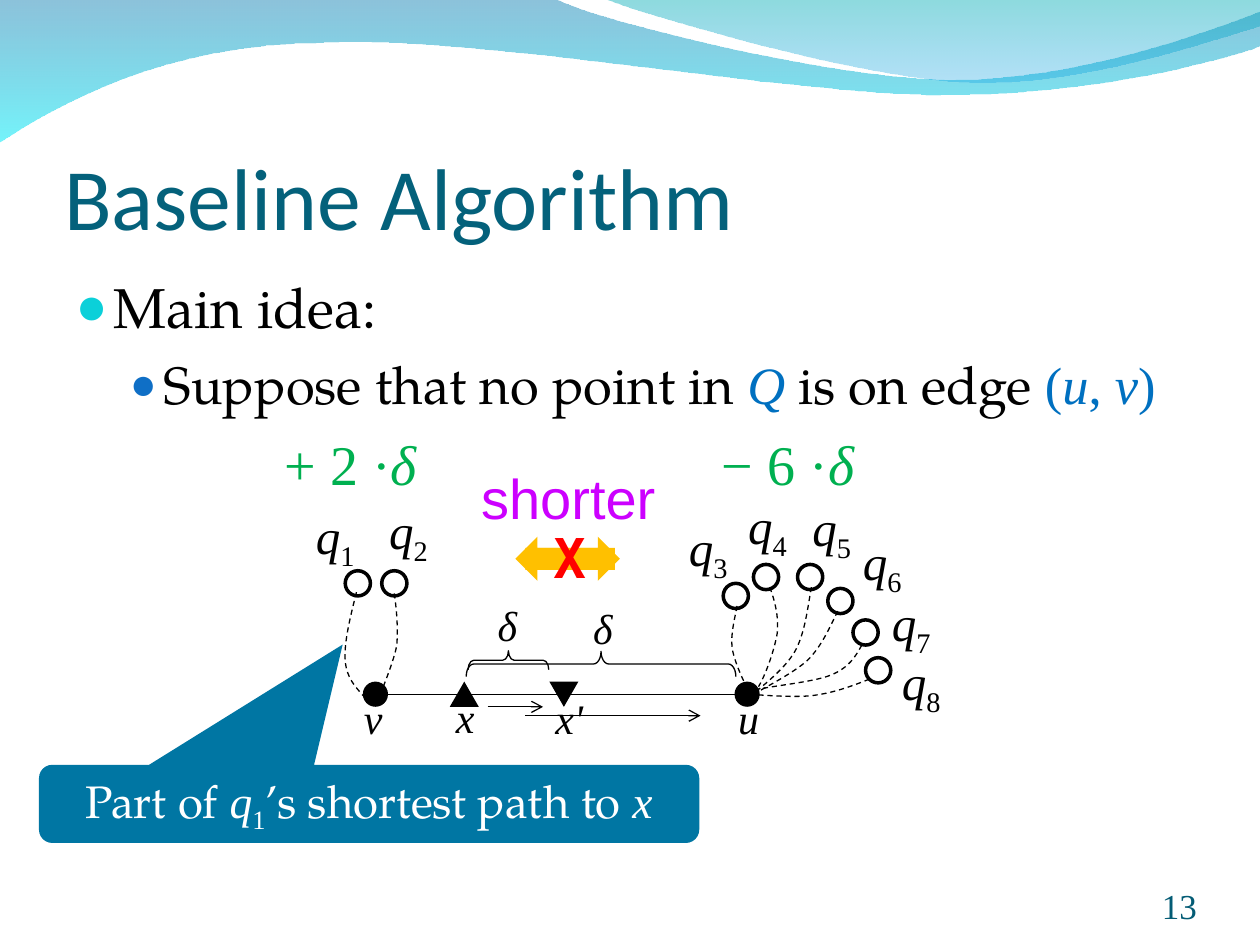
from dataclasses import dataclass

from lxml.etree import SubElement
from pptx import Presentation
from pptx.dml.color import RGBColor
from pptx.enum.dml import MSO_LINE
from pptx.enum.shapes import MSO_CONNECTOR, MSO_SHAPE
from pptx.enum.text import MSO_ANCHOR, MSO_AUTO_SIZE, PP_ALIGN
from pptx.oxml.ns import qn
from pptx.util import Pt

PX = 9144
INSETS = (10, 5, 10, 5)


@dataclass(frozen=True)
class Theme:
    """Colours, fonts and type sizes of the deck."""
    heading: str = "Calibri"
    body: str = "TeX Gyre Pagella"
    math: str = "Times New Roman"
    plain: str = "Arial"
    mono: str = "Noto Sans Mono"
    title: str = "04617B"
    number: str = "045C75"
    black: str = "000000"
    white: str = "FFFFFF"
    blue: str = "0070C0"
    green: str = "00B050"
    violet: str = "CC00FF"
    red: str = "FF0000"
    amber: str = "FFC000"
    callout: str = "0076A3"
    bullets: tuple = ("0BD0D9", "0F6FC6")
    title_pt: int = 50
    large_pt: int = 32
    sub_pt: int = 30
    point_pt: int = 28
    callout_pt: int = 26
    label_pt: int = 24
    number_pt: int = 20


T = Theme()


def px(*lengths):
    """Turn px lengths into EMU."""
    return [round(length * PX) for length in lengths]


def rgb(code):
    """Return the colour for a hex code."""
    return RGBColor.from_string(code)


def write(paragraph, runs, size, color=T.black):
    """Add (text, font, italic[, color[, subscript]]) runs to a paragraph."""
    for text, face, italic, *rest in runs:
        run = paragraph.add_run()
        run.text = text
        run.font.name, run.font.size, run.font.italic = face, Pt(size), italic
        run.font.color.rgb = rgb(rest[0] if rest and rest[0] else color)
        if len(rest) > 1:
            run.font._element.set("baseline", "-25000")


def set_frame(frame, insets=INSETS, wrap=True, anchor=MSO_ANCHOR.TOP):
    """Fix the insets, wrapping and anchor of a text frame."""
    frame.auto_size, frame.word_wrap, frame.vertical_anchor = MSO_AUTO_SIZE.NONE, wrap, anchor
    (frame.margin_left, frame.margin_top, frame.margin_right,
     frame.margin_bottom) = px(*insets)


def label(slide, box, runs, size, color=T.black, wrap=False):
    """Place a text box and return its paragraph."""
    frame = slide.shapes.add_textbox(*px(*box)).text_frame
    set_frame(frame, wrap=wrap)
    write(frame.paragraphs[0], runs, size, color)
    return frame.paragraphs[0]


def preset(slide, kind, box, fill=None, line=None, width=0.75, rotation=0):
    """Place a preset shape with plain fill and outline."""
    shape = slide.shapes.add_shape(kind, *px(*box))
    shape.shadow.inherit = False
    shape.rotation = rotation
    paint(shape, fill, line, width)
    return shape


def paint(shape, fill=None, line=None, width=0.75):
    """Set or clear the fill and outline."""
    if fill:
        shape.fill.solid()
        shape.fill.fore_color.rgb = rgb(fill)
    else:
        shape.fill.background()
    if line:
        shape.line.color.rgb, shape.line.width = rgb(line), Pt(width)
    else:
        shape.line.fill.background()


def curve(slide, x, y, start, pieces, close=False):
    """Trace straight (one point) and cubic (three point) pieces."""
    points = [start] + [point for piece in pieces for point in piece]
    traced = [px(x + a, y + b) for a, b in points]
    builder = slide.shapes.build_freeform(*traced[0], scale=1.0)
    builder.add_line_segments(traced[1:], close=close)
    shape = builder.convert_to_shape()
    shape.shadow.inherit = False
    segments = iter(list(shape._element.iter(qn("a:lnTo"))))
    for piece in pieces:
        first, *others = [next(segments) for _ in piece]
        if others:
            bezier = first.makeelement(qn("a:cubicBezTo"))
            first.addprevious(bezier)
            for segment in (first, *others):
                bezier.append(segment[0])
                segment.getparent().remove(segment)
    return shape


def rule(slide, x1, x2, y, arrow=False):
    """Draw a horizontal line, with an arrowhead if wanted."""
    line = slide.shapes.add_connector(MSO_CONNECTOR.STRAIGHT, *px(x1, y, x2, y))
    line.line.color.rgb, line.line.width = rgb(T.black), Pt(0.75)
    if arrow:
        SubElement(line.line._get_or_add_ln(), qn("a:tailEnd"), type="arrow")
    SubElement(line._element.spPr, qn("a:effectLst"))


def add_waves(slide, x, y):
    """Draw the two translucent waves along the top."""
    waves = (
        ((0, -1), [[(440, -1)], [(476, 17), (664, 63), (758, 63)],
                   [(853, 63), (958, 26), (1000, 9)], [(1001, 36)],
                   [(983, 44), (870, 76), (746, 75)], [(622, 75), (382, 28), (257, 34)],
                   [(129, 35), (46, 83), (-1, 113)]], (("0079AF", 45), ("00EBF8", 55))),
        ((479, -1), [[(509, 11), (682, 62), (769, 65)], [(856, 69), (961, 32), (1000, 21)],
                     [(1000, 0)]], (("00ADB6", 45), ("009BE5", 30))),
    )
    for start, pieces, stops in waves:
        wave = curve(slide, x, y, start, pieces, close=True)
        wave.line.fill.background()
        wave.fill.gradient()
        wave.fill.gradient_angle = 270
        for position, (stop, (color, _)) in enumerate(zip(wave.fill.gradient_stops, stops)):
            stop.position, stop.color.rgb = position, rgb(color)
        for tint, (_, opacity) in zip(wave._element.spPr.iter(qn("a:srgbClr")), stops):
            SubElement(tint, qn("a:alpha"), val=str(opacity * 1000))


def place(holder, box):
    """Move a placeholder to its box."""
    holder.left, holder.top, holder.width, holder.height = px(*box)


def add_title(slide, box):
    """Fill the title placeholder."""
    title = slide.shapes.title
    place(title, box)
    set_frame(title.text_frame, (0, 5, 0, 0), anchor=MSO_ANCHOR.BOTTOM)
    heading = title.text_frame.paragraphs[0]
    heading.alignment = PP_ALIGN.LEFT
    write(heading, [("Baseline Algorithm", T.heading, False)], T.title_pt, T.title)


def add_ideas(slide, box):
    """Fill the body placeholder with the two bullet levels."""
    body = slide.placeholders[1]
    place(body, box)
    frame = body.text_frame
    set_frame(frame)
    ideas = (
        (30, -30, 95, 0, T.large_pt, [("Main idea:", T.body, False)]),
        (70, -27, 85, 7.5, T.sub_pt, [
            ("Suppose that no point in ", T.body, False), ("Q", T.math, True, T.blue),
            (" is on edge ", T.body, False), ("(", T.math, False, T.blue),
            ("u", T.math, True, T.blue), (", ", T.math, False, T.blue),
            ("v", T.math, True, T.blue), (")", T.math, False, T.blue)]),
    )
    for level, (margin, indent, percent, before, size, runs) in enumerate(ideas):
        idea = frame.add_paragraph() if level else frame.paragraphs[0]
        idea.level, idea.space_before = level, Pt(before)
        props = idea._p.get_or_add_pPr()
        props.set("marL", str(margin * PX))
        props.set("indent", str(indent * PX))
        SubElement(SubElement(props, qn("a:buClr")), qn("a:srgbClr"), val=T.bullets[level])
        SubElement(props, qn("a:buSzPct"), val=str(percent * 1000))
        SubElement(props, qn("a:buChar"), char="●")
        write(idea, runs, size)


def add_network(slide, x, y):
    """Draw the edge from v to u, the query points and their paths."""
    for left in (48, 343):
        preset(slide, MSO_SHAPE.OVAL, (x + left, y + 161, 20, 20), T.black)
    rule(slide, x + 63, x + 348, y + 171)
    queries = (
        ((34, 73), (1, 16), [(43, 90), (38, 110), (33, 130), (34, 144), (35, 158), (42, 165), (49, 173)]),
        ((63, 73), (59, 12), [(73, 91), (75, 105), (76, 119), (75, 132), (73, 144), (63, 168), (63, 168)]),
        ((334, 83), (297, 26), [(345, 101), (343, 112), (340, 123), (341, 133), (342, 144), (352, 165), (353, 165)]),
        ((358, 68), (344, 8), [(371, 86), (375, 97), (378, 108), (377, 122), (375, 135), (368, 155), (362, 165)]),
        ((393, 68), (395, 10), [(404, 86), (401, 103), (399, 121), (392, 135), (385, 149), (367, 163), (360, 169)]),
        ((417, 87), (435, 37), [(425, 105), (418, 119), (412, 133), (401, 144), (389, 155), (364, 167), (357, 172)]),
        ((437, 112), (458, 85), [(444, 132), (439, 141), (434, 150), (419, 156), (404, 162), (365, 165), (354, 169)]),
        ((447, 142), (466, 132), [(450, 159), (435, 165), (421, 170), (405, 172), (389, 174), (356, 171), (356, 171)]),
    )
    for index, (ring, name, route) in enumerate(queries, 1):
        preset(slide, MSO_SHAPE.OVAL, (x + ring[0], y + ring[1], 20, 20), line=T.black, width=2)
        way = curve(slide, x, y, route[0], [route[1:4], route[4:]])
        paint(way, line=T.black)
        way.line.dash_style = MSO_LINE.DASH
        label(slide, (x + name[0], y + name[1], 50, 63),
              [("q", T.math, True), (str(index), T.math, False, None, True)], T.point_pt)
    for left, turn in ((117, 0), (196, 180)):
        preset(slide, MSO_SHAPE.ISOSCELES_TRIANGLE, (x + left, y + 161, 23, 20), T.black, rotation=turn)
    for left, top, depth, span in ((156, 112, 15, 64), (227, 40, 20, 214)):
        brace = preset(slide, MSO_SHAPE.LEFT_BRACE, (x + left, y + top, depth, span),
                       line=T.black, rotation=90)
        brace.adjustments[0] = 0.3
    for start, end, top in ((147, 191, 181), (177, 316, 188)):
        rule(slide, x + start, x + end, y + top, arrow=True)
    for text, left, top, width in (("v", 39, 165, 35), ("x", 112, 164, 35), ("x'", 191, 165, 42),
                                   ("u", 336, 165, 36), ("δ", 145, 91, 35), ("δ", 221, 93, 35)):
        label(slide, (x + left, y + top, width, 50), [(text, T.math, True)], T.label_pt)


def add_comparison(slide, x, y):
    """Show the change on either side and the crossed-out arrows."""
    for text, left in (("+ 2 ·", 0), ("− 6 ·", 347)):
        label(slide, (x + left, y, 169, 64), [(text, T.math, False), ("δ", T.math, True)],
              T.large_pt, T.green, True)
    preset(slide, MSO_SHAPE.RIGHT_ARROW, (x + 201, y + 90, 75, 35), T.amber)
    preset(slide, MSO_SHAPE.LEFT_ARROW, (x + 193, y + 90, 79, 35), T.amber)
    label(slide, (x + 156, y + 27, 164, 64), [("shorter", T.plain, False)], T.large_pt, T.violet, True)
    cross = label(slide, (x + 213, y + 74, 51, 64), [("X", T.mono, False)], T.large_pt, T.red, True)
    cross.runs[0].font.bold = True


def add_callout(slide, box):
    """Place the callout that explains the path of the first point."""
    callout = preset(slide, MSO_SHAPE.ROUNDED_RECTANGULAR_CALLOUT, box, T.callout)
    for index, value in enumerate((-0.04, -2.04, 0.17)):
        callout.adjustments[index] = value
    set_frame(callout.text_frame, anchor=MSO_ANCHOR.MIDDLE)
    remark = callout.text_frame.paragraphs[0]
    remark.alignment = PP_ALIGN.CENTER
    write(remark, [("Part of ", T.body, False), ("q", T.math, True),
                   ("1", T.math, False, None, True), ("’s shortest path to ", T.body, False),
                   ("x", T.math, True)], T.callout_pt, T.white)


def add_page_number(slide, box):
    """Place the page number at the lower right."""
    number = slide.shapes.add_textbox(*px(*box)).text_frame
    set_frame(number, (0, 0, 0, 0), anchor=MSO_ANCHOR.BOTTOM)
    number.paragraphs[0].alignment = PP_ALIGN.RIGHT
    write(number.paragraphs[0], [("13", T.math, False)], T.number_pt, T.number)


def main():
    """Build the slide and save it."""
    deck = Presentation()
    deck.slide_width, deck.slide_height = px(1000, 750)
    slide = deck.slides.add_slide(deck.slide_layouts[1])
    add_waves(slide, 0, 0)
    add_title(slide, (51, 72, 900, 125))
    add_ideas(slide, (50, 211, 887, 480))
    add_network(slide, 240, 380)
    add_callout(slide, (31, 607, 524, 62))
    add_comparison(slide, 216, 336)
    add_page_number(slide, (867, 695, 83, 40))
    deck.save("out.pptx")


if __name__ == "__main__":
    main()
